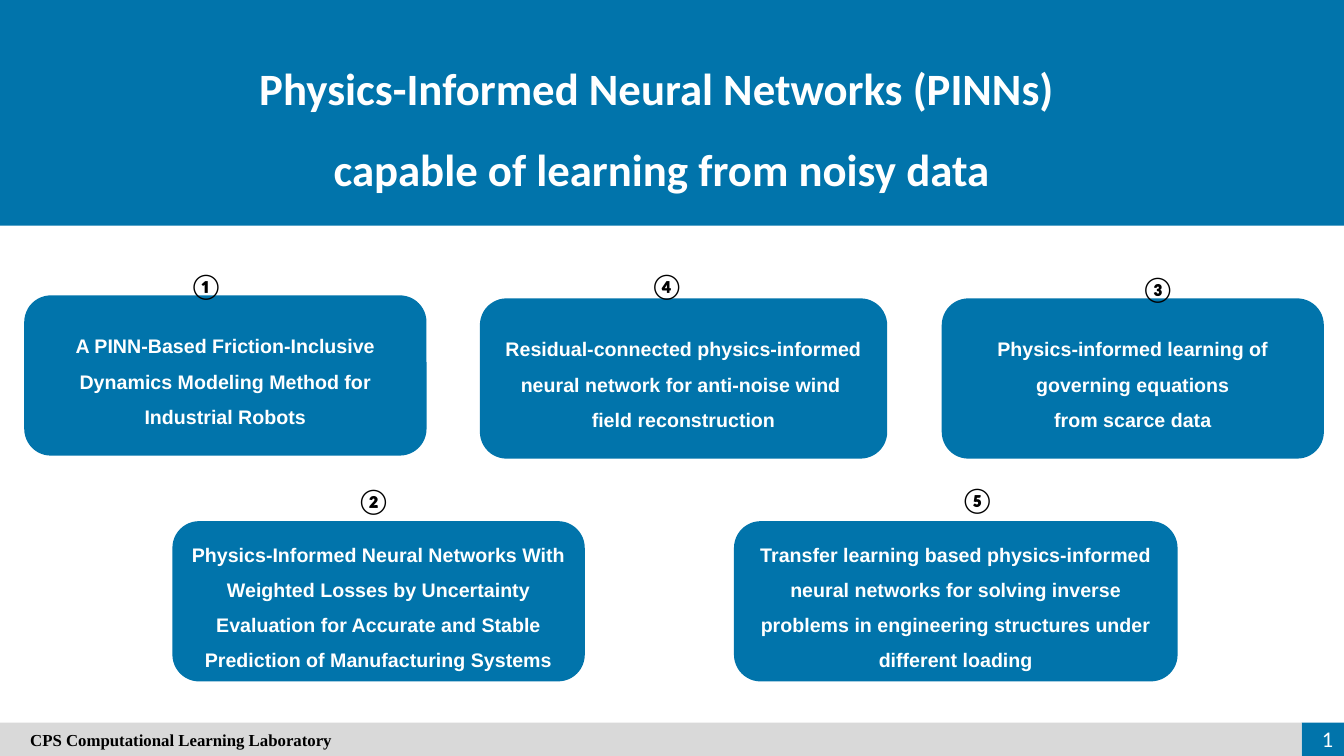
from pptx import Presentation
from pptx.dml.color import RGBColor
from pptx.enum.shapes import MSO_SHAPE as SHAPE
from pptx.enum.text import MSO_ANCHOR as ANCHOR, PP_ALIGN as ALIGN
from pptx.util import Inches, Pt

BLUE = RGBColor(0x01, 0x74, 0xAB)
GRAY = RGBColor(0xD9, 0xD9, 0xD9)
WHITE = RGBColor(0xFF, 0xFF, 0xFF)
BLACK = RGBColor(0, 0, 0)

# Content
TITLE = "Physics-Informed Neural Networks (PINNs) \ncapable of learning from noisy data"
FOOTER = "CPS Computational Learning Laboratory"
PAGE = "1"
# number, text, card (left, top, width), badge (left, top)
CARDS = [
    ("①", "A PINN-Based Friction-Inclusive Dynamics Modeling Method for Industrial Robots",
     (0.24, 2.93, 3.99), (1.78, 2.63)),
    ("②", "Physics-Informed Neural Networks With Weighted Losses by Uncertainty "
     "Evaluation for Accurate and Stable Prediction of Manufacturing Systems",
     (1.71, 5.17, 4.09), (3.44, 4.77)),
    ("③", "Physics-informed learning of governing equations\nfrom scarce data",
     (9.34, 2.96, 3.79), (11.22, 2.66)),
    ("④", "Residual-connected physics-informed neural network for anti-noise wind "
     "\nfield reconstruction",
     (4.76, 2.96, 4.04), (6.35, 2.63)),
    ("⑤", "Transfer learning based physics-informed neural networks for solving inverse "
     "problems in engineering structures under different loading",
     (7.28, 5.1, 4.4), (9.43, 4.76)),
]

# Layout
W, H = 13.33, 7.5
HEADER_H, FOOTER_H, PAGE_W = 2.24, 0.33, 0.42
CARD_H, CARD_BOTTOM = 1.59, 6.76
BADGE_W, BADGE_H = 0.45, 0.4

prs = Presentation()
prs.slide_width, prs.slide_height = Inches(W), Inches(H)
s = prs.slides.add_slide(prs.slide_layouts[6])


def add_block(kind, box, color):
    sp = s.shapes.add_shape(kind, *map(Inches, box))
    sp.shadow.inherit = False
    sp.fill.solid()
    sp.fill.fore_color.rgb = color
    sp.line.fill.background()
    return sp


def add_label(box):
    return s.shapes.add_textbox(*map(Inches, box))


def write(sp, text, size, font, color, bold=True, align=ALIGN.CENTER,
          spacing=1.0, anchor=ANCHOR.MIDDLE, wrap=True):
    tf = sp.text_frame
    tf.word_wrap = wrap
    tf.vertical_anchor = anchor
    tf.text = text
    for p in tf.paragraphs:
        p.alignment = align
        p.line_spacing = spacing
        for r in p.runs:
            r.font.size, r.font.name, r.font.bold = Pt(size), font, bold
            r.font.color.rgb = color
    return tf


# Header band and title
add_block(SHAPE.RECTANGLE, (0, 0, W, HEADER_H), BLUE)
write(add_label((0.45, 0.29, 12.23, 1.72)), TITLE, 32, "Calibri", WHITE,
      spacing=1.5, anchor=ANCHOR.TOP)

# Footer band and page number
foot_y, page_x = H - FOOTER_H, W - PAGE_W
add_block(SHAPE.RECTANGLE, (page_x, foot_y, PAGE_W, FOOTER_H), BLUE)
bar = add_block(SHAPE.RECTANGLE, (0, foot_y, page_x, FOOTER_H), GRAY)
tf = write(bar, FOOTER, 12, "Times New Roman", BLACK, align=ALIGN.LEFT)
tf.margin_left = Inches(0.3)
write(add_label((12.69, 7.13, 0.63, 0.4)), PAGE, 16, "Calibri", WHITE,
      bold=False, align=ALIGN.RIGHT)

# Paper cards
for _, text, (x, y, w), _ in CARDS:
    top = y if y < H / 2 else CARD_BOTTOM - CARD_H
    card = add_block(SHAPE.ROUNDED_RECTANGLE, (x, top, w, CARD_H), BLUE)
    write(card, text, 14, "Arial", WHITE, spacing=1.5)

# Number badges
for number, _, _, (x, y) in CARDS:
    write(add_label((x, y, BADGE_W, BADGE_H)), number, 18, "Calibri", BLACK,
          align=ALIGN.LEFT, anchor=ANCHOR.TOP, wrap=False)

prs.save("out.pptx")
